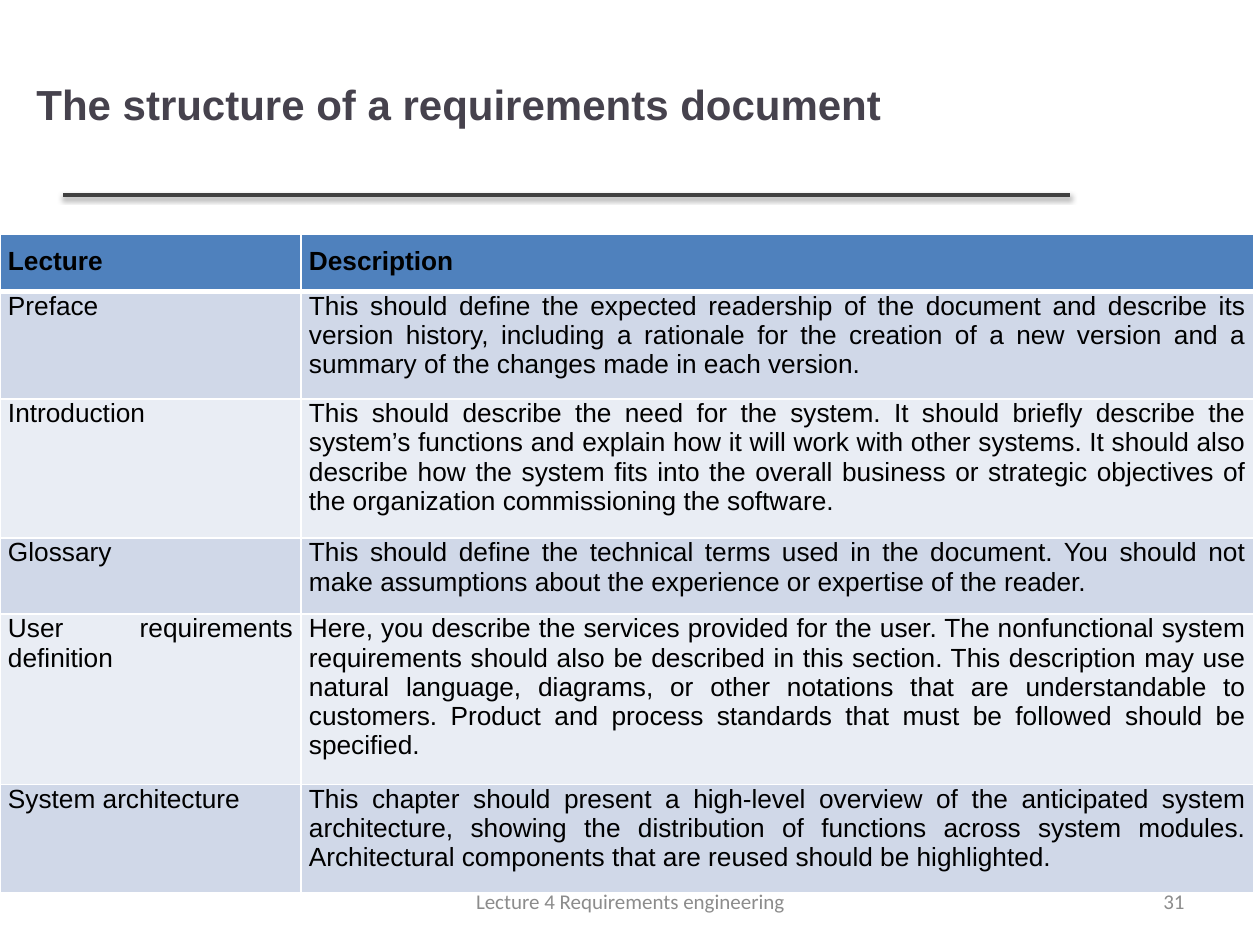
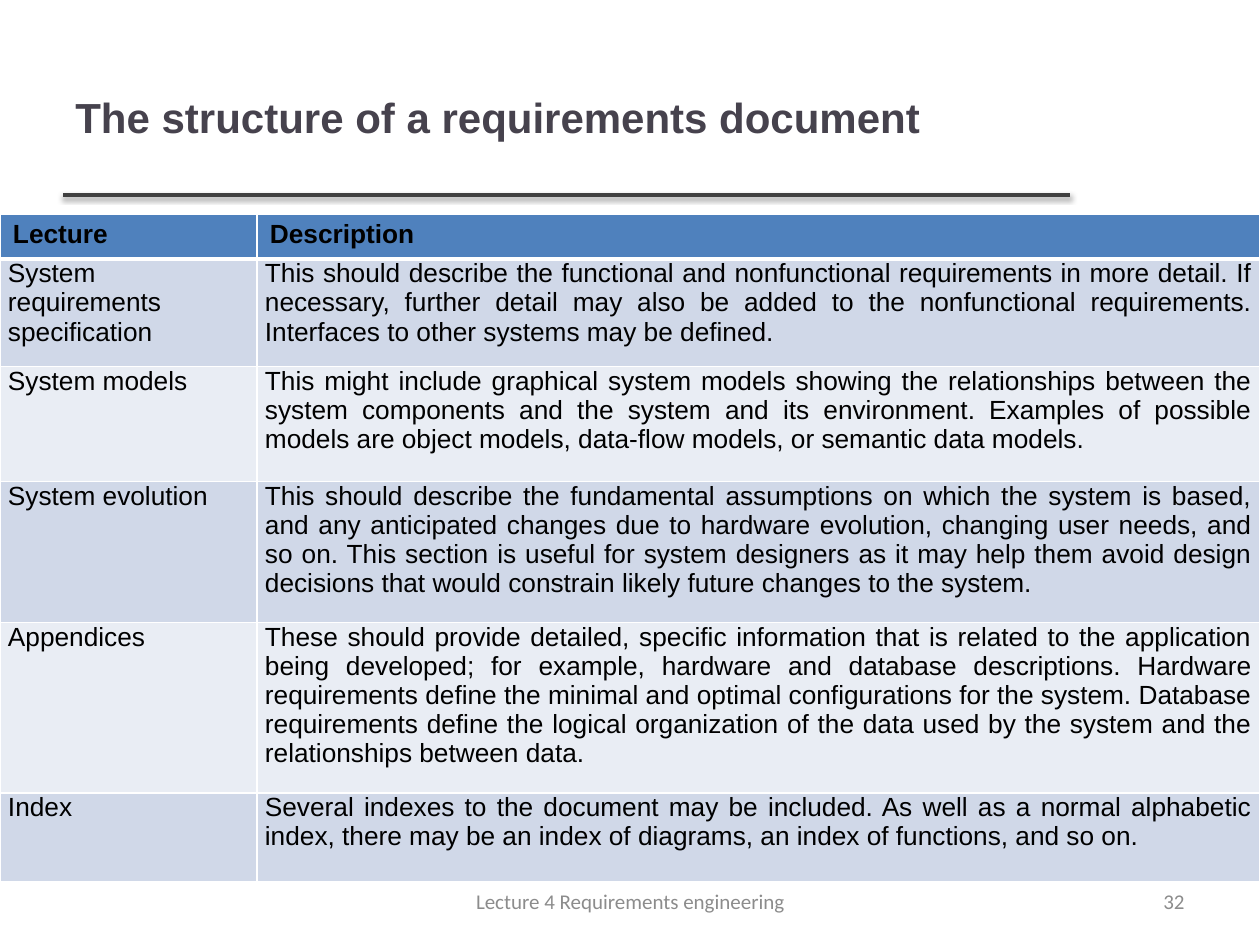
from lxml.etree import SubElement
from pptx import Presentation
from pptx.dml.color import RGBColor
from pptx.enum.shapes import MSO_CONNECTOR
from pptx.enum.text import MSO_ANCHOR, PP_ALIGN
from pptx.oxml import parse_xml
from pptx.oxml.ns import nsdecls, qn
from pptx.util import Pt

PX = 914400 / 126
BLACK = RGBColor(0x00, 0x00, 0x00)
WHITE = RGBColor(0xFF, 0xFF, 0xFF)
TITLE = RGBColor(0x46, 0x42, 0x4D)
RULE = RGBColor(0x40, 0x40, 0x40)
FOOTER = RGBColor(0x8C, 0x8C, 0x8C)
HEADER = RGBColor(0x4F, 0x81, 0xBD)
BANDS = [RGBColor(0xD0, 0xD8, 0xE8), RGBColor(0xE9, 0xED, 0xF4)]
SHADOW = (
    f'<a:effectLst {nsdecls("a")}>'
    '<a:outerShdw blurRad="39400" dist="20300" dir="5400000" rotWithShape="0">'
    '<a:srgbClr val="000000"><a:alpha val="38000"/></a:srgbClr>'
    '</a:outerShdw></a:effectLst>'
)


def px(*lengths):
    return [round(n * PX) for n in lengths]


def put_text(tf, text, size=15, font="Arial", color=BLACK, bold=False, align=PP_ALIGN.LEFT):
    tf.word_wrap = True
    p = tf.paragraphs[0]
    p.alignment = align
    r = p.add_run()
    r.text = text
    r.font.size = Pt(size)
    r.font.name = font
    r.font.bold = bold
    r.font.color.rgb = color


slides = [
    dict(
        number="31", title_box=(24, 29, 1016, 150), top=234,
        cols=[301, 953], rows=[57, 103, 134, 73, 164, 103],
        header_align=PP_ALIGN.JUSTIFY, header_margins=(8, 13, 8, 13),
        body=[
            ("Preface", "This should define the expected readership of the document and describe its version history, including a rationale for the creation of a new version and a summary of the changes made in each version."),
            ("Introduction", "This should describe the need for the system. It should briefly describe the system’s functions and explain how it will work with other systems. It should also describe how the system fits into the overall business or strategic objectives of the organization commissioning the software."),
            ("Glossary", "This should define the technical terms used in the document. You should not make assumptions about the experience or expertise of the reader."),
            ("User requirements definition", "Here, you describe the services provided for the user. The nonfunctional system requirements should also be described in this section. This description may use natural language, diagrams, or other notations that are understandable to customers. Product and process standards that must be followed should be specified."),
            ("System architecture", "This chapter should present a high-level overview of the anticipated system architecture, showing the distribution of functions across system modules. Architectural components that are reused should be highlighted."),
        ],
    ),
    dict(
        number="32", title_box=(63, 38, 1005, 157), top=214,
        cols=[257, 1003], rows=[45, 103, 115, 141, 168, 89],
        header_align=PP_ALIGN.LEFT, header_margins=(13, 6, 13, 6),
        body=[
            ("System requirements specification", "This should describe the functional and nonfunctional requirements in more detail. If necessary, further detail may also be added to the nonfunctional requirements. Interfaces to other systems may be defined."),
            ("System models", "This might include graphical system models showing the relationships between the system components and the system and its environment. Examples of possible models are object models, data-flow models, or semantic data models."),
            ("System evolution", "This should describe the fundamental assumptions on which the system is based, and any anticipated changes due to hardware evolution, changing user needs, and so on. This section is useful for system designers as it may help them avoid design decisions that would constrain likely future changes to the system."),
            ("Appendices", "These should provide detailed, specific information that is related to the application being developed; for example, hardware and database descriptions. Hardware requirements define the minimal and optimal configurations for the system. Database requirements define the logical organization of the data used by the system and the relationships between data."),
            ("Index", "Several indexes to the document may be included. As well as a normal alphabetic index, there may be an index of diagrams, an index of functions, and so on."),
        ],
    ),
]

prs = Presentation()
prs.slide_width, prs.slide_height = px(1260, 945)

for d in slides:
    s = prs.slides.add_slide(prs.slide_layouts[6])

    rule = s.shapes.add_connector(MSO_CONNECTOR.STRAIGHT, *px(63, 195, 1070, 195))
    rule.line.color.rgb = RULE
    rule.line.width = Pt(2)
    rule._element.spPr.append(parse_xml(SHADOW))

    tf = s.shapes.add_textbox(*px(*d["title_box"])).text_frame
    tf.vertical_anchor = MSO_ANCHOR.MIDDLE
    put_text(tf, "The structure of a requirements document", size=24, color=TITLE, bold=True)

    cells = [("Lecture", "Description")] + d["body"]
    frame = s.shapes.add_table(len(cells), 2, *px(0, d["top"], sum(d["cols"]), sum(d["rows"])))
    table = frame.table
    table.first_row = table.horz_banding = False
    for col, width in zip(table.columns, px(*d["cols"])):
        col.width = width
    for row, height in zip(table.rows, px(*d["rows"])):
        row.height = height

    for i, texts in enumerate(cells):
        head = i == 0
        margins = d["header_margins"] if head else (8, 0, 8, 13)
        for j, text in enumerate(texts):
            cell = table.cell(i, j)
            cell.margin_left, cell.margin_top, cell.margin_right, cell.margin_bottom = px(*margins)
            tcPr = cell._tc.get_or_add_tcPr()
            for side in "LRTB":
                thick = (i, side) in [(0, "B"), (1, "T")]
                ln = SubElement(tcPr, qn(f"a:ln{side}"), w=str(Pt(3 if thick else 1)))
                fill = SubElement(ln, qn("a:solidFill"))
                SubElement(fill, qn("a:srgbClr"), val=str(WHITE))
            cell.fill.solid()
            cell.fill.fore_color.rgb = HEADER if head else BANDS[(i - 1) % 2]
            align = d["header_align"] if head else PP_ALIGN.JUSTIFY
            put_text(cell.text_frame, text, bold=head, align=align)

    for box, text, align in [
        ((903, 876, 294, 50), d["number"], PP_ALIGN.RIGHT),
        ((431, 876, 399, 50), "Lecture 4 Requirements engineering", PP_ALIGN.CENTER),
    ]:
        tf = s.shapes.add_textbox(*px(*box)).text_frame
        tf.vertical_anchor = MSO_ANCHOR.MIDDLE
        put_text(tf, text, size=12, font="Calibri", color=FOOTER, align=align)

prs.save("out.pptx")
